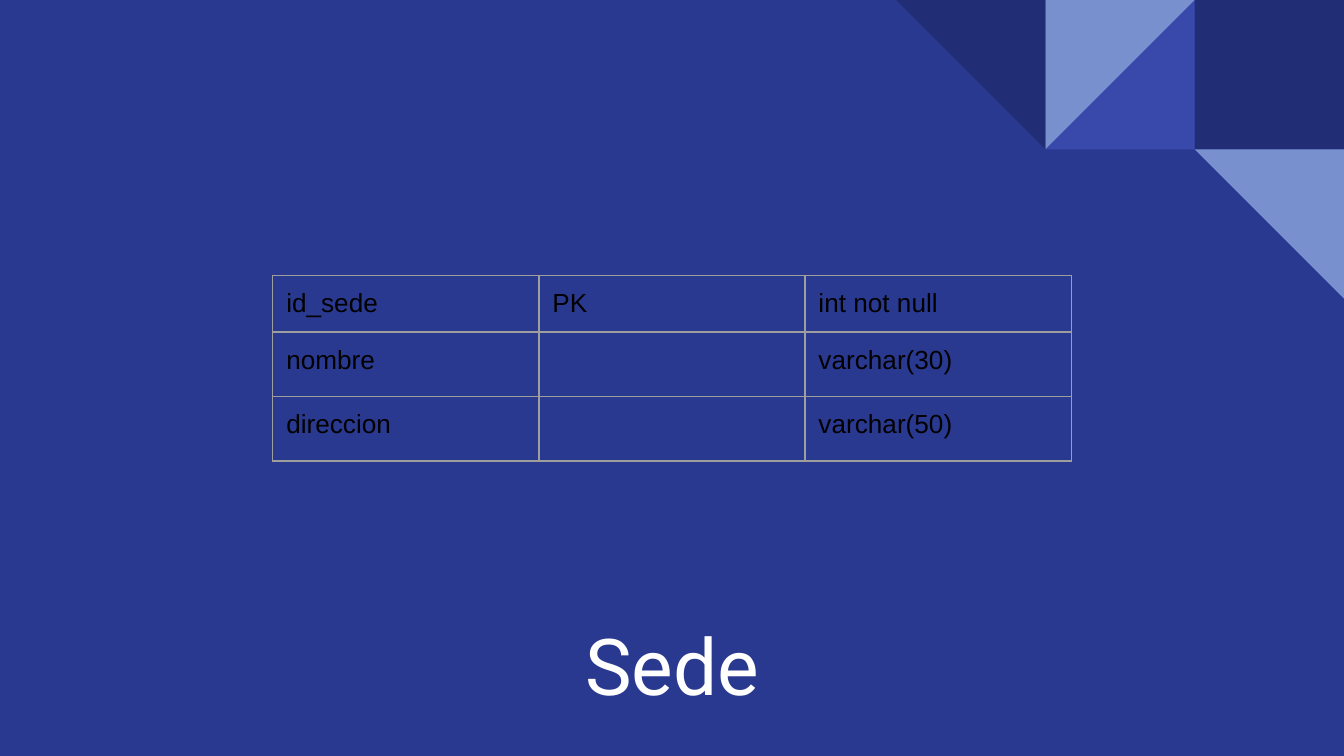
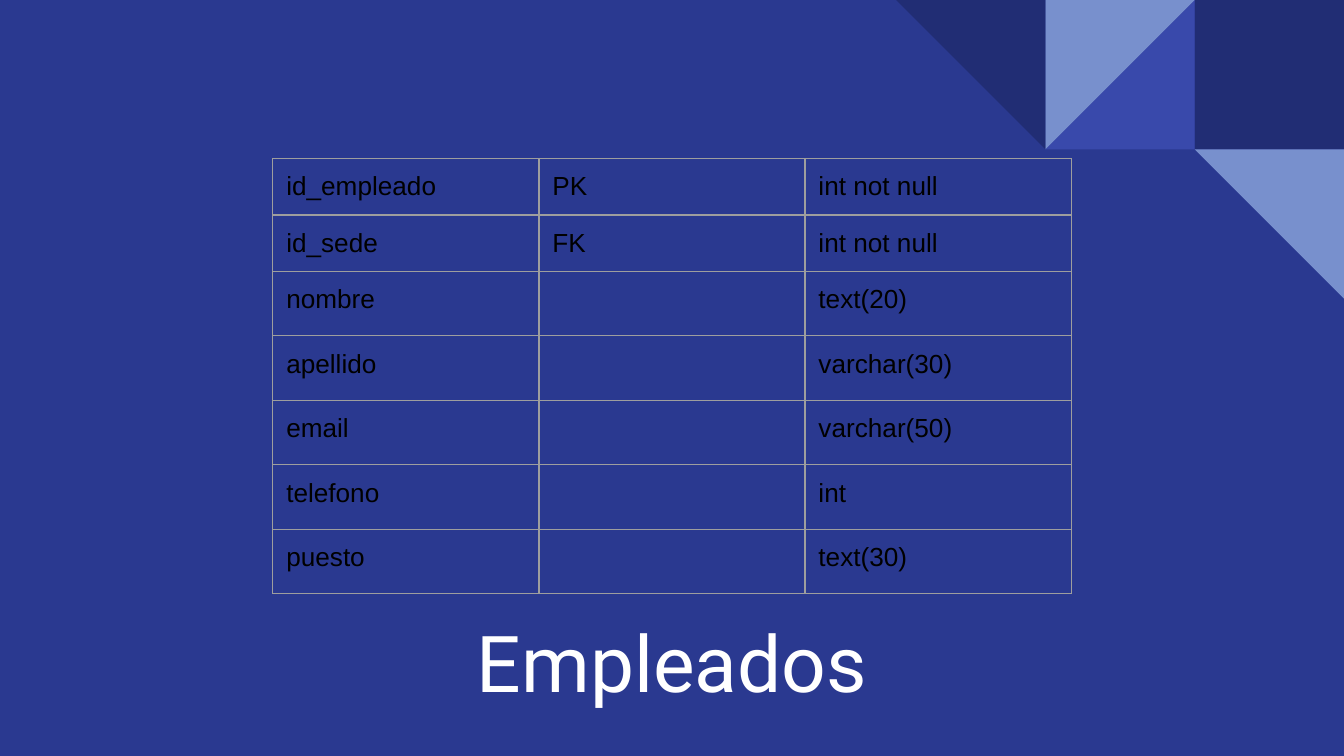
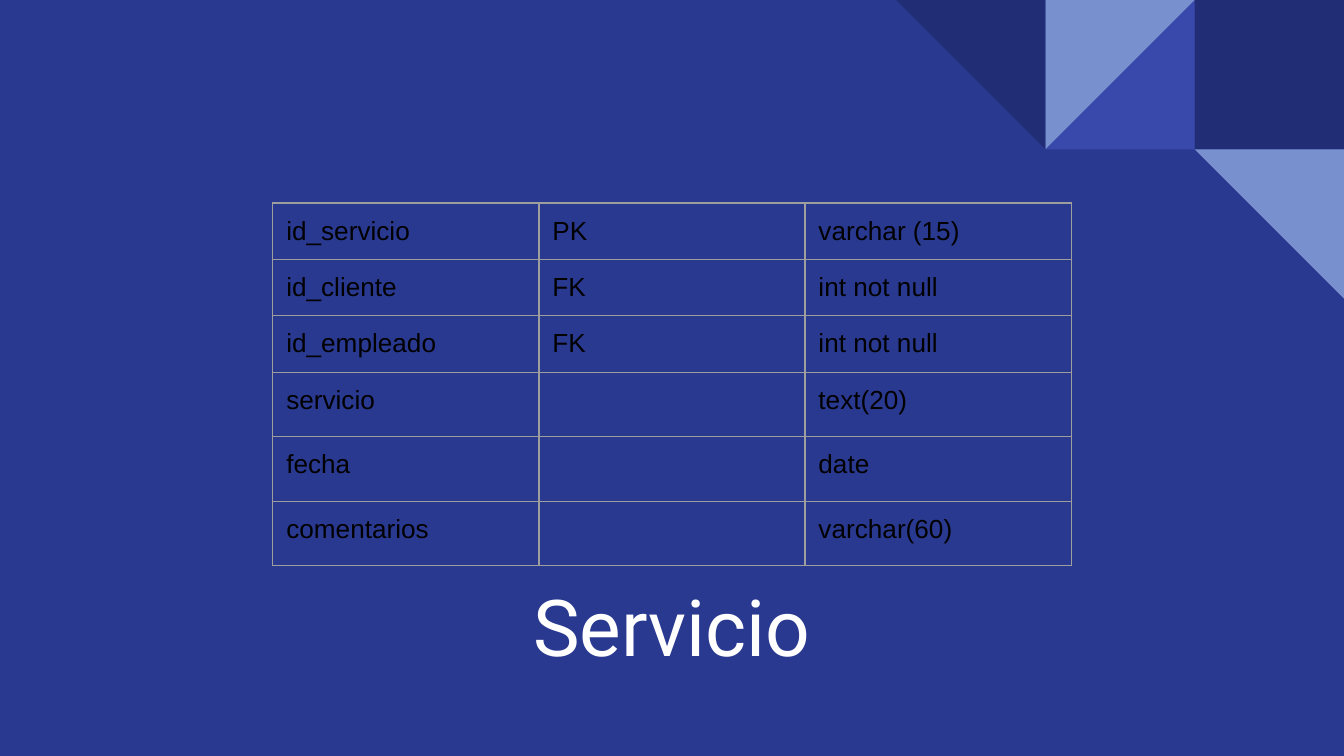
from lxml.etree import SubElement
from pptx import Presentation
from pptx.dml.color import RGBColor
from pptx.enum.shapes import MSO_SHAPE
from pptx.enum.text import MSO_ANCHOR, PP_ALIGN
from pptx.oxml.ns import qn
from pptx.util import Inches, Pt

# Slide size (16:9) and grid, in inches
WIDTH = 10
HEIGHT = WIDTH * 9 / 16
TILE = WIDTH / 9
TABLE_LEFT, COLUMN = 2.03, 1.98
FULL_ROW, OPEN_ROW = 0.42, 0.48
TITLE_HEIGHT, MARGIN = 0.92, 0.1

# Colours
BLUE, NAVY, INDIGO, SKY = "2A3990", "212D74", "3949AB", "7890CD"
GREY, WHITE, BLACK = "9E9E9E", "FFFFFF", "000000"

# Corner tiles: column, row, preset, rotation, colour
TILES = [
    (8, 0, MSO_SHAPE.RECTANGLE, 0, NAVY),
    (7, 0, MSO_SHAPE.RIGHT_TRIANGLE, 270, INDIGO),
    (7, 0, MSO_SHAPE.RIGHT_TRIANGLE, 90, SKY),
    (6, 0, MSO_SHAPE.RIGHT_TRIANGLE, 180, NAVY),
    (8, 1, MSO_SHAPE.RIGHT_TRIANGLE, 180, SKY),
]

# Entities: title, title top, title width, table top, fields
ENTITIES = [
    ("Sede", 4.48, 2.13, 2.05, [
        ("id_sede", "PK", "int not null"),
        ("nombre", "", "varchar(30)"),
        ("direccion", "", "varchar(50)"),
    ]),
    ("Empleados", 4.46, 4.07, 1.18, [
        ("id_empleado", "PK", "int not null"),
        ("id_sede", "FK", "int not null"),
        ("nombre", "", "text(20)"),
        ("apellido", "", "varchar(30)"),
        ("email", "", "varchar(50)"),
        ("telefono", "", "int"),
        ("puesto", "", "text(30)"),
    ]),
    ("Servicio", 4.19, 2.64, 1.51, [
        ("id_servicio", "PK", "varchar (15)"),
        ("id_cliente", "FK", "int not null"),
        ("id_empleado", "FK", "int not null"),
        ("servicio", "", "text(20)"),
        ("fecha", "", "date"),
        ("comentarios", "", "varchar(60)"),
    ]),
]


def paint(fill, color):
    fill.solid()
    fill.fore_color.rgb = RGBColor.from_string(color)


def format_runs(p, font, size, color):
    for r in p.runs:
        r.font.name, r.font.size, r.font.bold = font, Pt(size), False
        r.font.color.rgb = RGBColor.from_string(color)


def add_corner_tiles(s, layout):
    """Draw the tiles on a slide, then hand them to its layout."""
    for i, (col, row, preset, rotation, color) in enumerate(TILES):
        tile = s.shapes.add_shape(preset, Inches(col * TILE), Inches(row * TILE),
                                  Inches(TILE), Inches(TILE))
        tile.rotation = rotation
        tile.shadow.inherit = False
        paint(tile.fill, color)
        tile.line.fill.background()
        tile._element.nvSpPr.cNvPr.set("id", str(100 + i))
        layout.shapes._spTree.append(tile._element)


def set_title(s, text, top, width):
    title = s.shapes.title
    title.left, title.top = Inches((WIDTH - width) / 2), Inches(top)
    title.width, title.height = Inches(width), Inches(TITLE_HEIGHT)
    tf = title.text_frame
    tf.text = text
    tf.word_wrap = True
    tf.vertical_anchor = MSO_ANCHOR.MIDDLE
    tf.margin_left = tf.margin_right = tf.margin_top = tf.margin_bottom = Inches(MARGIN)
    p = tf.paragraphs[0]
    p.alignment = PP_ALIGN.CENTER
    format_runs(p, "Roboto", 42, WHITE)


def add_borders(cell):
    tcPr = cell._tc.get_or_add_tcPr()
    for side in ("a:lnL", "a:lnR", "a:lnT", "a:lnB"):
        ln = SubElement(tcPr, qn(side), w=str(Pt(0.75)))
        fill = SubElement(ln, qn("a:solidFill"))
        SubElement(fill, qn("a:srgbClr"), val=GREY)


def fill_cell(cell, text):
    cell.text = text
    cell.margin_left = cell.margin_right = Inches(MARGIN)
    cell.margin_top = cell.margin_bottom = Inches(MARGIN)
    add_borders(cell)
    cell.fill.background()
    p = cell.text_frame.paragraphs[0]
    format_runs(p, "Arial", 14, BLACK)
    if not text:
        p._p.get_or_add_endParaRPr().set("sz", "1400")


def add_field_table(s, top, fields):
    heights = [FULL_ROW if all(field) else OPEN_ROW for field in fields]
    columns = len(fields[0])
    table = s.shapes.add_table(len(fields), columns, Inches(TABLE_LEFT), Inches(top),
                               Inches(columns * COLUMN), Inches(sum(heights))).table
    table.first_row = table.horz_banding = False
    for column in table.columns:
        column.width = Inches(COLUMN)
    for i, field in enumerate(fields):
        table.rows[i].height = Inches(heights[i])
        for j, text in enumerate(field):
            fill_cell(table.cell(i, j), text)


def main():
    prs = Presentation()
    prs.slide_width, prs.slide_height = Inches(WIDTH), Inches(HEIGHT)
    paint(prs.slide_master.background.fill, BLUE)
    layout = prs.slide_layouts[0]

    for i, (title, title_top, title_width, table_top, fields) in enumerate(ENTITIES):
        s = prs.slides.add_slide(layout)
        subtitle = s.placeholders[1]._element
        subtitle.getparent().remove(subtitle)
        if i == 0:
            add_corner_tiles(s, layout)
        set_title(s, title, title_top, title_width)
        add_field_table(s, table_top, fields)

    prs.save("out.pptx")


if __name__ == "__main__":
    main()
